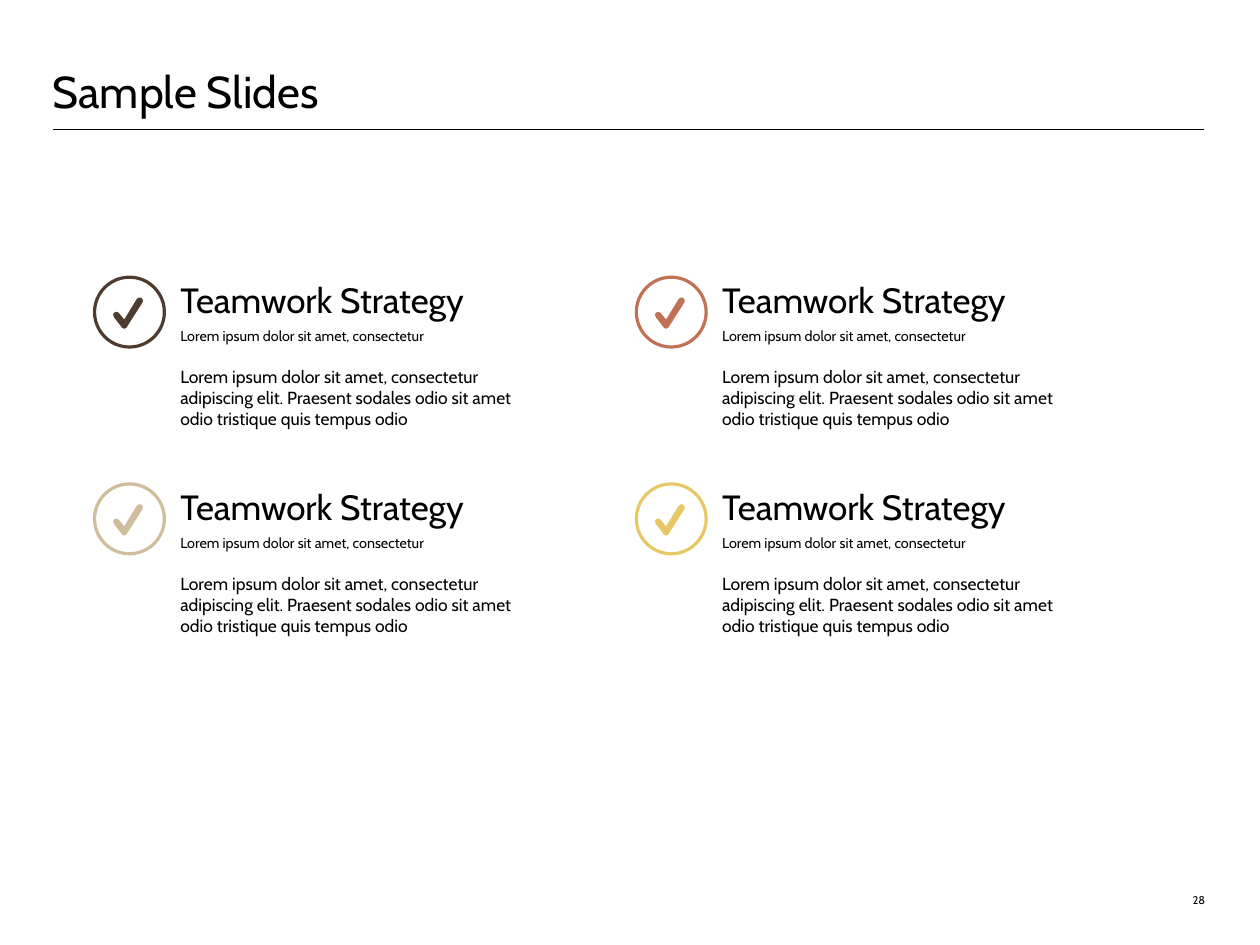
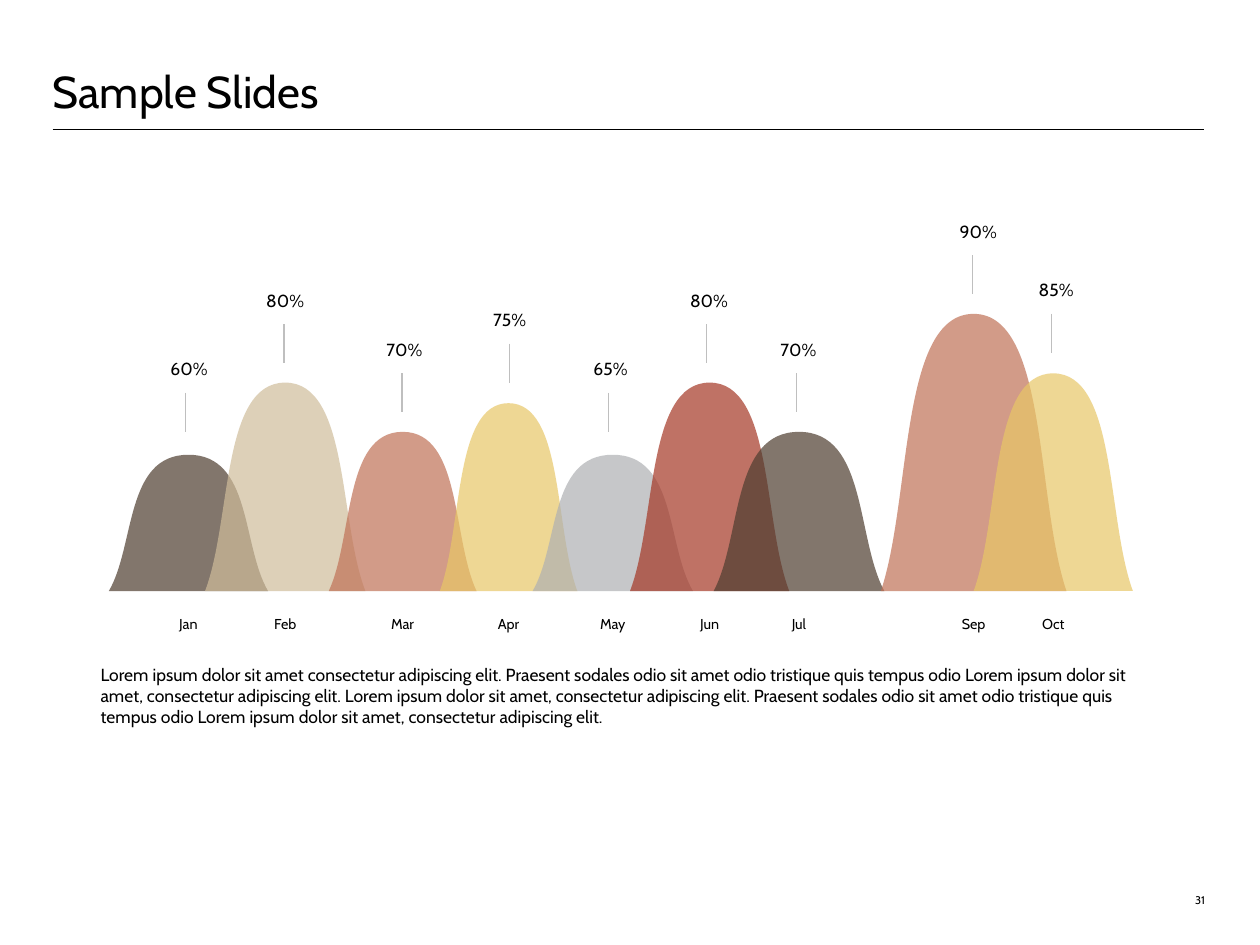
from collections import namedtuple
from dataclasses import dataclass

from lxml.etree import SubElement
from pptx import Presentation
from pptx.dml.color import RGBColor
from pptx.enum.shapes import MSO_CONNECTOR, MSO_SHAPE
from pptx.enum.text import MSO_ANCHOR, PP_ALIGN
from pptx.oxml.ns import qn
from pptx.util import Inches, Pt


@dataclass(frozen=True)
class Theme:
    font: str = "Cabin"
    text: str = "000000"
    tick: str = "BFBFBF"
    brown: str = "4D3C2F"
    sand: str = "CFBD9B"
    clay: str = "C07156"
    gold: str = "E8C767"
    grey: str = "AEB0B3"
    red: str = "A43725"
    title: int = 28
    heading: int = 22
    body: int = 11
    small: int = 9
    number: int = 7


T = Theme()
BASE = 5.16
LABEL_W = 0.84
TICK_H = 0.34

CHECK_START = (0.26, 0.45)
CHECK = [
    [(0.25, 0.45), (0.24, 0.44), (0.24, 0.44)],
    [(0.17, 0.35)],
    [(0.16, 0.33), (0.16, 0.32), (0.17, 0.31)],
    [(0.19, 0.3), (0.2, 0.3), (0.21, 0.31)],
    [(0.26, 0.37)],
    [(0.37, 0.19)],
    [(0.38, 0.18), (0.4, 0.17), (0.41, 0.18)],
    [(0.42, 0.19), (0.43, 0.21), (0.42, 0.22)],
    [(0.28, 0.44)],
    [(0.28, 0.44), (0.27, 0.45), (0.26, 0.45)],
]

HEADING = "Teamwork Strategy"
SUBHEADING = "Lorem ipsum dolor sit amet, consectetur"
DETAIL = (
    "Lorem ipsum dolor sit amet, consectetur adipiscing elit. "
    "Praesent sodales odio sit amet odio tristique quis tempus odio"
)
SUMMARY = (
    "Lorem ipsum dolor sit amet consectetur adipiscing elit. "
    "Praesent sodales odio sit amet odio tristique quis tempus odio "
    "Lorem ipsum dolor sit amet, consectetur adipiscing elit. "
    "Lorem ipsum dolor sit amet, consectetur adipiscing elit. "
    "Praesent sodales odio sit amet odio tristique quis tempus odio "
    "Lorem ipsum dolor sit amet, consectetur adipiscing elit."
)

Month = namedtuple("Month", "name value left width peak tick_x tick_top label_x color")
MONTHS = [
    Month("Jan", "60%", 0.95, 1.39, 3.97, 1.62, 3.43, 1.65, T.brown),
    Month("Feb", "80%", 1.79, 1.4, 3.34, 2.48, 2.83, 2.49, T.sand),
    Month("Mar", "70%", 2.87, 1.29, 3.77, 3.51, 3.26, 3.53, T.clay),
    Month("Apr", "75%", 3.84, 1.2, 3.52, 4.45, 3.0, 4.45, T.gold),
    Month("May", "65%", 4.65, 1.4, 3.97, 5.31, 3.43, 5.33, T.grey),
    Month("Jun", "80%", 5.5, 1.39, 3.34, 6.17, 2.83, 6.19, T.red),
    Month("Jul", "70%", 6.23, 1.49, 3.77, 6.95, 3.26, 6.97, T.brown),
    Month("Sep", "90%", 7.69, 1.62, 2.74, 8.49, 2.23, 8.54, T.clay),
    Month("Oct", "85%", 8.5, 1.39, 3.26, 9.18, 2.74, 9.22, T.gold),
]


def add_text(shapes, text, x, y, w, h, size=T.body, align=PP_ALIGN.LEFT,
             anchor=MSO_ANCHOR.TOP, inset=True, spacing=None):
    sp = shapes.add_textbox(Inches(x), Inches(y), Inches(w), Inches(h))
    tf = sp.text_frame
    tf.word_wrap = True
    tf.vertical_anchor = anchor
    if not inset:
        tf.margin_left = tf.margin_right = tf.margin_top = tf.margin_bottom = 0
    p = tf.paragraphs[0]
    p.alignment = align
    if spacing:
        p.line_spacing = Pt(spacing)
    r = p.add_run()
    r.text = text
    r.font.name = T.font
    r.font.size = Pt(size)
    r.font.color.rgb = RGBColor.from_string(T.text)


def add_line(shapes, x1, y1, x2, y2, color):
    line = shapes.add_connector(
        MSO_CONNECTOR.STRAIGHT, Inches(x1), Inches(y1), Inches(x2), Inches(y2))
    line.line.color.rgb = RGBColor.from_string(color)
    line.line.width = Pt(0.75)
    SubElement(line._element.spPr, qn("a:effectLst"))


def bend(sp, segments):
    lines = list(sp._element.iter(qn("a:lnTo")))
    for line, points in zip(lines, segments):
        if len(points) == 3:
            curve = SubElement(line.getparent(), qn("a:cubicBezTo"))
            for x, y in points:
                SubElement(curve, qn("a:pt"), x=str(x - sp.left), y=str(y - sp.top))
            line.getparent().replace(line, curve)


def add_outline(shapes, x, y, start, segments, color, opacity=100):
    def emu(point):
        return Inches(x + point[0]), Inches(y + point[1])

    segments = [[emu(point) for point in segment] for segment in segments]
    builder = shapes.build_freeform(*emu(start), scale=1.0)
    builder.add_line_segments([segment[-1] for segment in segments], close=True)
    sp = builder.convert_to_shape()
    bend(sp, segments)
    sp.shadow.inherit = False
    sp.line.fill.background()
    sp.fill.solid()
    sp.fill.fore_color.rgb = RGBColor.from_string(color)
    if opacity < 100:
        clr = sp._element.spPr.find(qn("a:solidFill"))[0]
        SubElement(clr, qn("a:alpha"), val=str(opacity * 1000))


def add_ring(shapes, x, y, size, color):
    sp = shapes.add_shape(
        MSO_SHAPE.OVAL, Inches(x), Inches(y), Inches(size), Inches(size))
    sp.shadow.inherit = False
    sp.fill.background()
    sp.line.color.rgb = RGBColor.from_string(color)
    sp.line.width = Pt(2)


def add_strategy(slide, x, y, color):
    shapes = slide.shapes.add_group_shape().shapes
    add_ring(shapes, x, y, 0.61, color)
    add_outline(shapes, x, y, CHECK_START, CHECK, color)
    text_x = x + 0.65
    add_text(shapes, HEADING, text_x, y - 0.04, 3.78, 0.48, size=T.heading)
    add_text(shapes, DETAIL, text_x, y + 0.73, 3.18, 0.67)
    add_text(shapes, SUBHEADING, text_x, y + 0.39, 2.58, 0.26, size=T.small)


def add_month(slide, m):
    shapes = slide.shapes.add_group_shape().shapes
    w, h = m.width, BASE - m.peak
    bell = [
        [(w / 6, -h / 3), (w / 10, -h), (w / 2, -h)],
        [(w * 9 / 10, -h), (w * 5 / 6, -h / 3), (w, 0)],
    ]
    add_outline(shapes, m.left, BASE, (0, 0), bell, m.color, opacity=70)
    add_text(shapes, m.name, m.left + w / 2 - LABEL_W / 2, BASE + 0.16, LABEL_W, 0.26,
             size=T.small, align=PP_ALIGN.CENTER)
    add_text(shapes, m.value, m.label_x - LABEL_W / 2, m.tick_top - 0.35, LABEL_W, 0.3,
             align=PP_ALIGN.CENTER)
    add_line(shapes, m.tick_x, m.tick_top, m.tick_x, m.tick_top + TICK_H, T.tick)


def add_slide(prs, title, number):
    s = prs.slides.add_slide(prs.slide_layouts[6])
    add_line(s.shapes, 0.46, 1.13, 10.51, 1.13, T.text)
    add_text(s.shapes, number, 10.07, 7.5, 0.45, 0.42, size=T.number,
             align=PP_ALIGN.RIGHT, anchor=MSO_ANCHOR.BOTTOM, inset=False)
    add_text(s.shapes, title, 0.46, 0, 10.05, 1.03, size=T.title,
             anchor=MSO_ANCHOR.BOTTOM, inset=False, spacing=32)
    return s


def main():
    prs = Presentation()
    prs.slide_width = Inches(11)
    prs.slide_height = Inches(8.25)

    s = add_slide(prs, "Sample Slides", "28")
    for i, color in enumerate((T.brown, T.sand, T.clay, T.gold)):
        column, row = divmod(i, 2)
        add_strategy(s, 0.825 + 4.73 * column, 2.42 + 1.805 * row, color)

    s = add_slide(prs, "Sample Slides", "31")
    add_text(s.shapes, SUMMARY, 0.78, 5.75, 9.35, 0.67)
    for month in MONTHS:
        add_month(s, month)

    prs.save("out.pptx")


if __name__ == "__main__":
    main()
